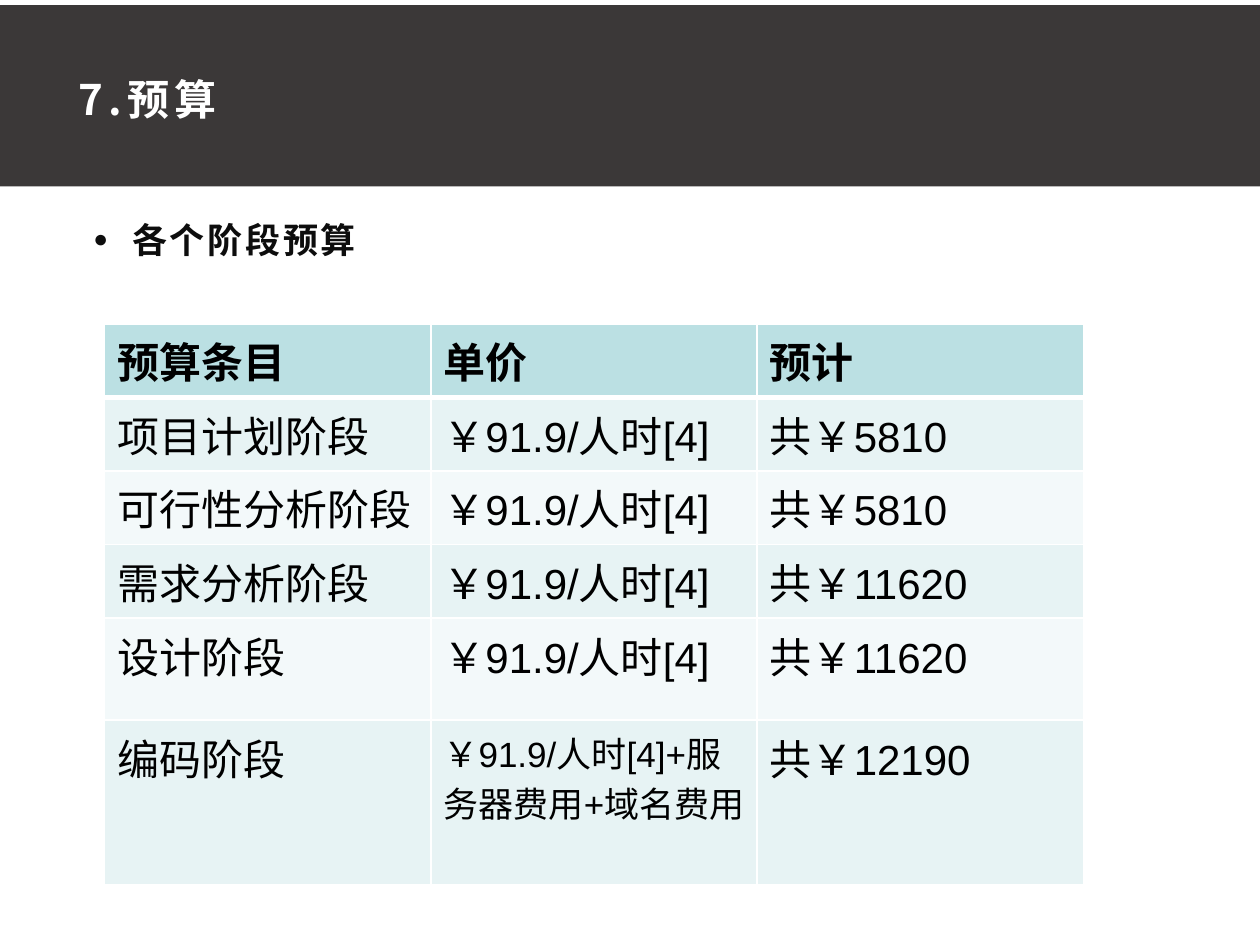
from dataclasses import dataclass

from lxml import etree
from pptx import Presentation
from pptx.dml.color import RGBColor
from pptx.enum.shapes import MSO_SHAPE
from pptx.enum.text import MSO_ANCHOR, MSO_AUTO_SIZE, PP_ALIGN
from pptx.oxml.ns import qn
from pptx.util import Inches, Pt

RECT = MSO_SHAPE.RECTANGLE
TOP, MIDDLE = MSO_ANCHOR.TOP, MSO_ANCHOR.MIDDLE
NO_FIT = MSO_AUTO_SIZE.NONE
LEFT = PP_ALIGN.LEFT


@dataclass(frozen=True)
class Theme:
    """Colours, fonts and type sizes of the slide."""
    band: str = "3B3838"
    white: str = "FFFFFF"
    body: str = "0D0D0D"
    cell: str = "000000"
    header: str = "BBE0E3"
    rows: tuple = ("E7F3F4", "F3F9FA")
    cjk: str = "Noto Sans CJK SC"
    latin: str = "Arial"
    large: int = 24
    small: int = 20


THEME = Theme()
HEADERS = ("预算条目", "单价", "预计")
RATE = "￥91.9/人时[4]"
BUDGET = (
    ("项目计划阶段", RATE, "共￥5810"),
    ("可行性分析阶段", RATE, "共￥5810"),
    ("需求分析阶段", RATE, "共￥11620"),
    ("设计阶段", RATE, "共￥11620"),
    ("编码阶段", RATE + "+服务器费用+域名费用", "共￥12190"),
)
ROW_HEIGHTS = (0.53, 0.53, 0.53, 0.53, 0.81, 0.81)


def add_run(p, text, size, color, font, bold=False, spacing=0):
    """Add one formatted run to a paragraph."""
    r = p.add_run()
    r.text = text
    r.font.size = Pt(size)
    r.font.bold = bold
    r.font.name = font
    r.font.color.rgb = RGBColor.from_string(color)
    rPr = r.font._element
    etree.SubElement(rPr, qn("a:ea"), typeface=THEME.cjk)
    if spacing:
        rPr.set("spc", str(int(spacing * 100)))


def place(sp, box, anchor, margins):
    """Move a placeholder to a box and set up its text frame."""
    sp.left, sp.top, sp.width, sp.height = (Inches(v) for v in box)
    tf = sp.text_frame
    tf.word_wrap = True
    tf.auto_size = NO_FIT
    tf.vertical_anchor = anchor
    tf.margin_left, tf.margin_right = (Inches(v) for v in margins)
    tf.margin_top = tf.margin_bottom = Inches(0.04)
    return tf.paragraphs[0]


def add_band(s, box):
    """Draw the dark title band behind everything else."""
    sp = s.shapes.add_shape(RECT, *(Inches(v) for v in box))
    sp.shadow.inherit = False
    sp.fill.solid()
    sp.fill.fore_color.rgb = RGBColor.from_string(THEME.band)
    sp.line.fill.background()
    s.shapes._spTree.insert(2, sp._element)


def add_title(s, box):
    """Fill the title placeholder."""
    p = place(s.shapes.title, box, TOP, (0.11, 0.08))
    p.alignment = LEFT
    add_run(p, "7.预算", THEME.large, THEME.white, THEME.cjk, True, 3)


def add_body(s, box):
    """Fill the body placeholder with its bulleted line."""
    p = place(s.placeholders[1], box, MIDDLE, (0.07, 0.07))
    p.line_spacing = Pt(32)
    p.space_before = Pt(0)
    p.space_after = Pt(8)
    pPr = p._p.get_or_add_pPr()
    pPr.set("marL", str(Inches(0.31)))
    pPr.set("indent", str(-Inches(0.31)))
    etree.SubElement(pPr, qn("a:buSzPct"), val="70000")
    etree.SubElement(pPr, qn("a:buFont"), typeface=THEME.latin)
    etree.SubElement(pPr, qn("a:buChar"), char="●")
    add_run(p, "各个阶段预算", THEME.small, THEME.body, THEME.cjk, True, 1.5)


def set_borders(cell, top, bottom):
    """Give a cell white borders, with its own top and bottom widths."""
    tcPr = cell._tc.get_or_add_tcPr()
    sides = (("L", 1), ("R", 1), ("T", top), ("B", bottom))
    for i, (side, width) in enumerate(sides):
        ln = etree.Element(qn("a:ln" + side), w=str(Pt(width)))
        fill = etree.SubElement(ln, qn("a:solidFill"))
        etree.SubElement(fill, qn("a:srgbClr"), val=THEME.white)
        tcPr.insert(i, ln)


def add_budget_table(s, box):
    """Build the budget table with a header and alternating rows."""
    data = (HEADERS,) + BUDGET
    frame = s.shapes.add_table(len(data), len(HEADERS), *(Inches(v) for v in box))
    table = frame.table
    table.first_row = table.horz_banding = False
    for col in table.columns:
        col.width = Inches(box[2] / len(HEADERS))
    for i, (row, height) in enumerate(zip(data, ROW_HEIGHTS)):
        table.rows[i].height = Inches(height)
        fill = THEME.rows[(i - 1) % 2] if i else THEME.header
        for j, text in enumerate(row):
            cell = table.cell(i, j)
            cell.fill.solid()
            cell.fill.fore_color.rgb = RGBColor.from_string(fill)
            set_borders(cell, 3 if i == 1 else 1, 3 if i == 0 else 1)
            size = THEME.small if "+" in text else THEME.large
            add_run(cell.text_frame.paragraphs[0], text, size, THEME.cell,
                    THEME.latin, bold=i == 0)


def main():
    """Build and save the budget slide."""
    prs = Presentation()
    prs.slide_width, prs.slide_height = Inches(10), Inches(7.5)
    s = prs.slides.add_slide(prs.slide_layouts[1])
    add_band(s, (0, 0.04, 10, 1.44))
    add_title(s, (0.51, 0.54, 9.12, 0.53))
    add_body(s, (0.67, 1.55, 2.36, 0.59))
    add_budget_table(s, (0.83, 2.57, 7.77, sum(ROW_HEIGHTS)))
    prs.save("out.pptx")


if __name__ == "__main__":
    main()
